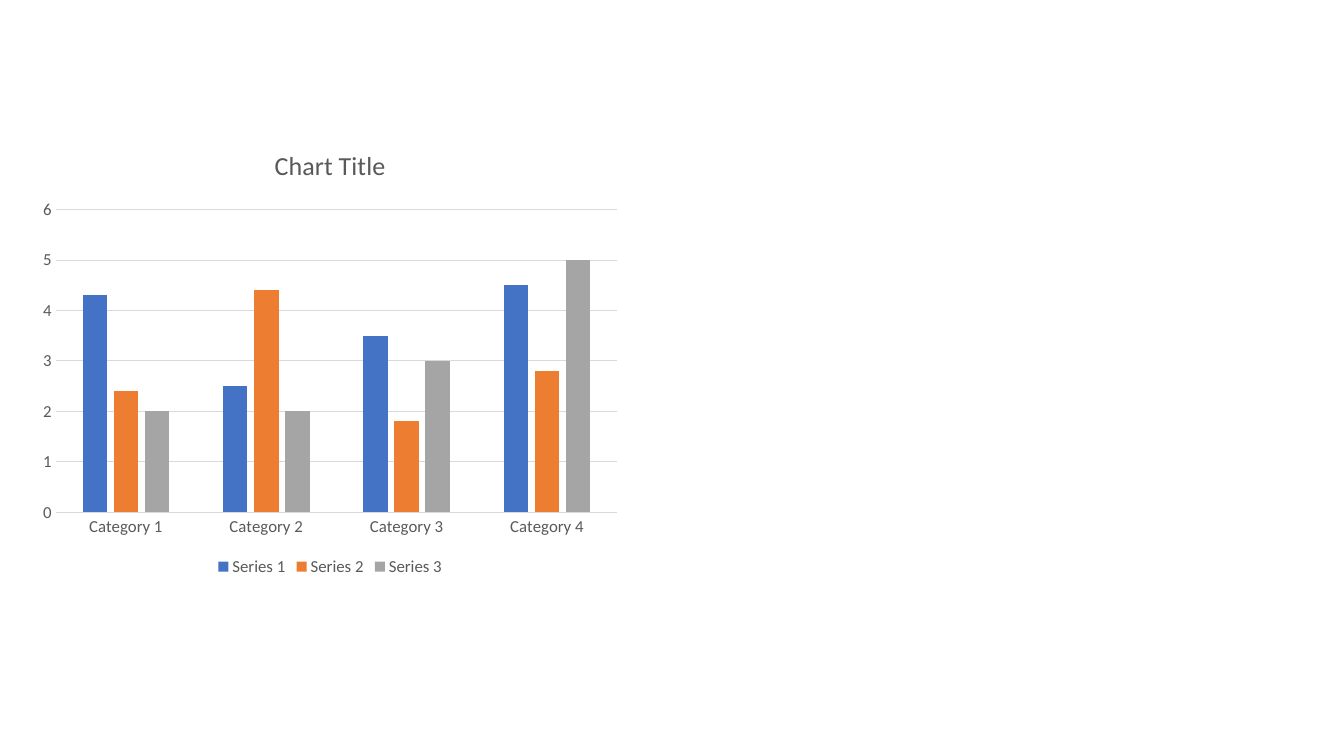
"""Build a slide with a clustered column chart."""
from dataclasses import dataclass

from pptx import Presentation
from pptx.chart.axis import _BaseAxis
from pptx.chart.chart import Chart
from pptx.chart.data import CategoryChartData
from pptx.dml.color import RGBColor
from pptx.dml.line import LineFormat
from pptx.enum.chart import XL_CHART_TYPE, XL_LEGEND_POSITION, XL_TICK_MARK
from pptx.slide import Slide
from pptx.text.text import Font, TextFrame
from pptx.util import Inches, Pt

BLUE = RGBColor(0x44, 0x72, 0xC4)
ORANGE = RGBColor(0xED, 0x7D, 0x31)
GRAY = RGBColor(0xA5, 0xA5, 0xA5)
TEXT = RGBColor(0x59, 0x59, 0x59)
GRID = RGBColor(0xD9, 0xD9, 0xD9)
FONT = "Calibri"


@dataclass(frozen=True)
class Series:
    """One column series of the chart."""

    name: str
    values: tuple[float, ...]
    color: RGBColor


CATEGORIES = [f"Category {n}" for n in range(1, 5)]
SERIES = [
    Series("Series 1", (4.3, 2.5, 3.5, 4.5), BLUE),
    Series("Series 2", (2.4, 4.4, 1.8, 2.8), ORANGE),
    Series("Series 3", (2, 2, 3, 5), GRAY),
]


def style_font(font: Font, size: float = 12, color: RGBColor = TEXT) -> None:
    """Set the typeface, size and colour of a font."""
    font.name = FONT
    font.size = Pt(size)
    font.bold = False
    font.color.rgb = color


def write_text(tf: TextFrame, text: str, *, size: float, color: RGBColor = TEXT) -> None:
    """Write one formatted run into a text frame."""
    r = tf.paragraphs[0].add_run()
    r.text = text
    style_font(r.font, size, color)


def style_line(line: LineFormat) -> None:
    """Draw a thin light line."""
    line.color.rgb = GRID
    line.width = Pt(0.75)


def style_axis(axis: _BaseAxis) -> None:
    """Hide the tick marks and format the labels of an axis."""
    axis.major_tick_mark = XL_TICK_MARK.NONE
    axis.minor_tick_mark = XL_TICK_MARK.NONE
    style_font(axis.tick_labels.font)


def style_axes(chart: Chart) -> None:
    """Format both axes and the gridlines."""
    style_axis(chart.category_axis)
    style_line(chart.category_axis.format.line)
    value_axis = chart.value_axis
    style_axis(value_axis)
    value_axis.minimum_scale = 0
    value_axis.maximum_scale = 6
    value_axis.major_unit = 1
    value_axis.format.line.fill.background()
    style_line(value_axis.major_gridlines.format.line)


def add_column_chart(s: Slide) -> None:
    """Add the column chart with its title and legend."""
    data = CategoryChartData()
    data.categories = CATEGORIES
    for series in SERIES:
        data.add_series(series.name, series.values)
    chart = s.shapes.add_chart(
        XL_CHART_TYPE.COLUMN_CLUSTERED,
        Inches(0.31), Inches(1.27), Inches(5.93), Inches(4.49), data,
    ).chart
    style_font(chart.font)
    chart.has_title = True
    write_text(chart.chart_title.text_frame, "Chart Title", size=18.6)
    chart.chart_title.include_in_layout = False
    chart.has_legend = True
    chart.legend.position = XL_LEGEND_POSITION.BOTTOM
    chart.legend.include_in_layout = False
    style_font(chart.legend.font)
    style_axes(chart)
    plot = chart.plots[0]
    plot.vary_by_categories = False
    plot.gap_width = 219
    plot.overlap = -27
    for column, series in zip(plot.series, SERIES):
        column.format.fill.solid()
        column.format.fill.fore_color.rgb = series.color


def main() -> None:
    """Build and save the presentation."""
    prs = Presentation()
    prs.slide_width = Inches(13.33)
    prs.slide_height = Inches(7.5)
    s = prs.slides.add_slide(prs.slide_layouts[6])
    add_column_chart(s)
    prs.save("out.pptx")


if __name__ == "__main__":
    main()
